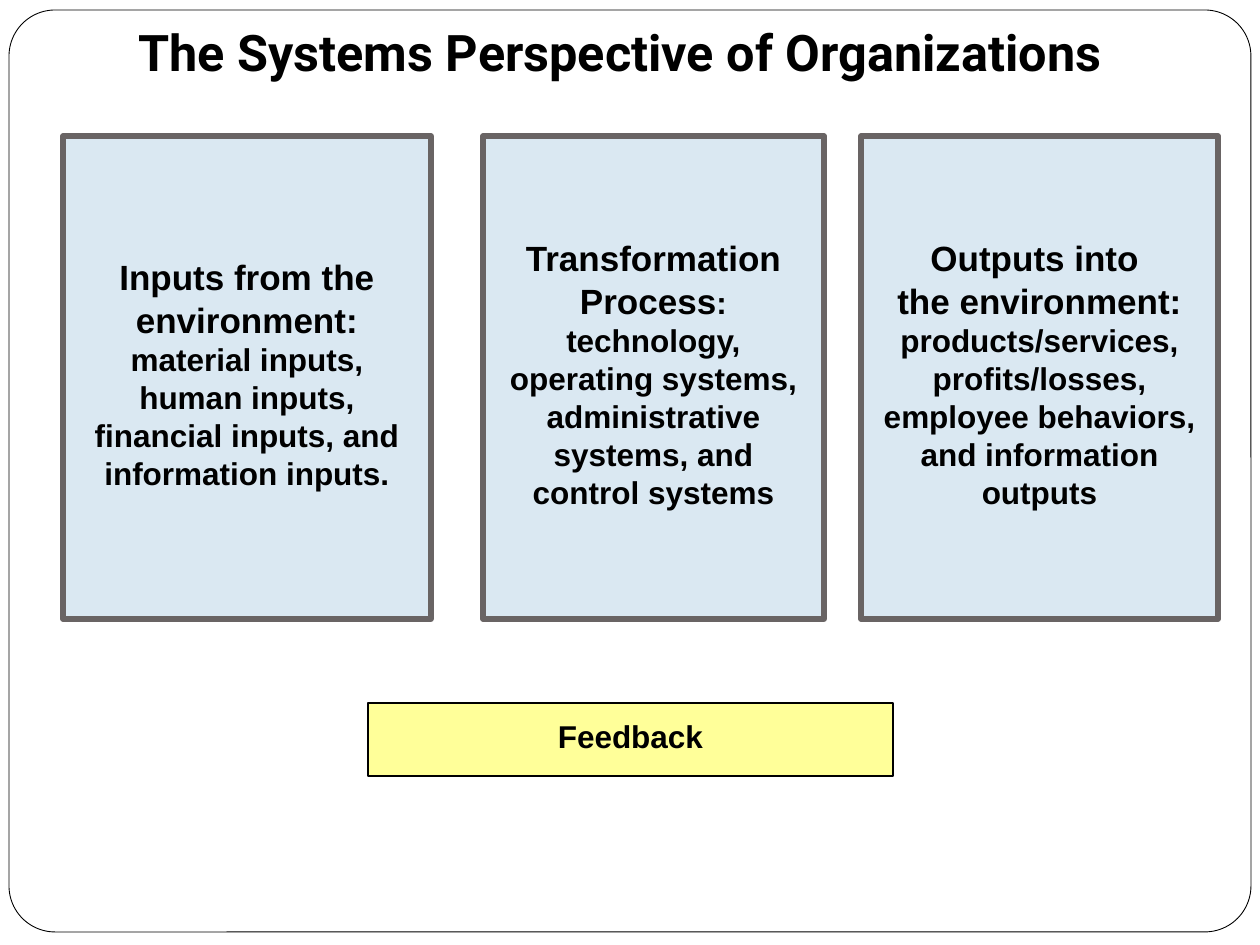
from pptx import Presentation
from pptx.dml.color import RGBColor
from pptx.enum.shapes import MSO_SHAPE
from pptx.enum.text import MSO_ANCHOR, PP_ALIGN
from pptx.util import Emu, Inches, Pt

RECTANGLE, ROUNDED = MSO_SHAPE.RECTANGLE, MSO_SHAPE.ROUNDED_RECTANGLE
MIDDLE, BOTTOM = MSO_ANCHOR.MIDDLE, MSO_ANCHOR.BOTTOM
CENTER = PP_ALIGN.CENTER
BLACK = RGBColor(0x00, 0x00, 0x00)
WHITE = RGBColor(0xFF, 0xFF, 0xFF)
PALE_BLUE = RGBColor(0xDA, 0xE8, 0xF2)
GRAY = RGBColor(0x69, 0x64, 0x64)
YELLOW = RGBColor(0xFF, 0xFF, 0x99)

PX_PER_INCH = 126
HEADING_SIZE, DETAIL_SIZE = 20, 18
HEADING_GAP, DETAIL_GAP = 5, 4.3
STAGE_TOP, STAGE_HEIGHT = 136, 483
STAGES = [
    (63, 368, ["Inputs from the", "environment:"],
     ["material inputs,", "human inputs,", "financial inputs, and",
      "information inputs."]),
    (483, 341, ["Transformation", "Process:"],
     ["technology,", "operating systems,", "administrative", "systems, and",
      "control systems"]),
    (861, 357, ["Outputs into ", "the environment:"],
     ["products/services,", "profits/losses,", "employee behaviors,",
      "and information", "outputs"]),
]


def scale_box(box):
    """Turn a box of px lengths into EMU."""
    return [Emu(round(length * Inches(1) / PX_PER_INCH)) for length in box]


def add_panel(slide, box, kind, fill, line, line_width):
    """Add a filled, outlined shape without a shadow."""
    shape = slide.shapes.add_shape(kind, *scale_box(box))
    shape.shadow.inherit = False
    shape.fill.solid()
    shape.fill.fore_color.rgb = fill
    shape.line.color.rgb = line
    shape.line.width = Pt(line_width)
    return shape


def style_font(font, size, name="Arial"):
    """Make a font bold and black at the given size."""
    font.name = name
    font.size = Pt(size)
    font.bold = True
    font.color.rgb = BLACK


def write_lines(frame, lines):
    """Fill a text frame with centred lines of (text, size, gap before)."""
    frame.vertical_anchor = MIDDLE
    for index, (text, size, gap) in enumerate(lines):
        paragraph = frame.add_paragraph() if index else frame.paragraphs[0]
        paragraph.text = text
        paragraph.alignment = CENTER
        paragraph.line_spacing = 0.8
        paragraph.space_before = Pt(gap)
        style_font(paragraph.font, size)


def add_frame(slide, box):
    """Add the rounded border around the slide."""
    shape = add_panel(slide, box, ROUNDED, WHITE, BLACK, 0.5)
    shape.adjustments[0] = 0.05


def add_title(slide, box, text):
    """Add the slide title, resting on the bottom of its box."""
    frame = slide.shapes.add_textbox(*scale_box(box)).text_frame
    frame.word_wrap = True
    frame.vertical_anchor = BOTTOM
    frame.margin_bottom = Inches(0.1)
    paragraph = frame.paragraphs[0]
    paragraph.text = text
    style_font(paragraph.font, 28.8, "Roboto")


def add_stage(slide, box, headings, details):
    """Add one stage of the system with its heading and details."""
    frame = add_panel(slide, box, RECTANGLE, PALE_BLUE, GRAY, 3).text_frame
    frame.word_wrap = True
    write_lines(frame,
                [(text, HEADING_SIZE, HEADING_GAP) for text in headings]
                + [(text, DETAIL_SIZE, DETAIL_GAP) for text in details])
    heading = frame.paragraphs[len(headings) - 1]
    if heading.text == "Process:":
        heading.runs[0].text = "Process"
        colon = heading.add_run()
        colon.text = ":"
        colon.font.size = Pt(DETAIL_SIZE)


def add_feedback(slide, box):
    """Add the feedback bar."""
    frame = add_panel(slide, box, RECTANGLE, YELLOW, BLACK, 1).text_frame
    frame.word_wrap = False
    write_lines(frame, [("Feedback", DETAIL_SIZE, DETAIL_GAP)])


def main():
    """Build the slide and save it."""
    presentation = Presentation()
    presentation.slide_width = Inches(10)
    presentation.slide_height = Inches(7.5)
    slide = presentation.slides.add_slide(presentation.slide_layouts[6])
    add_frame(slide, (9, 10, 1242, 922))
    add_title(slide, (126, 21, 1071, 73),
              "The Systems Perspective of Organizations")
    for left, width, headings, details in STAGES:
        add_stage(slide, (left, STAGE_TOP, width, STAGE_HEIGHT),
                  headings, details)
    add_feedback(slide, (368, 703, 525, 73))
    presentation.save("out.pptx")


if __name__ == "__main__":
    main()
